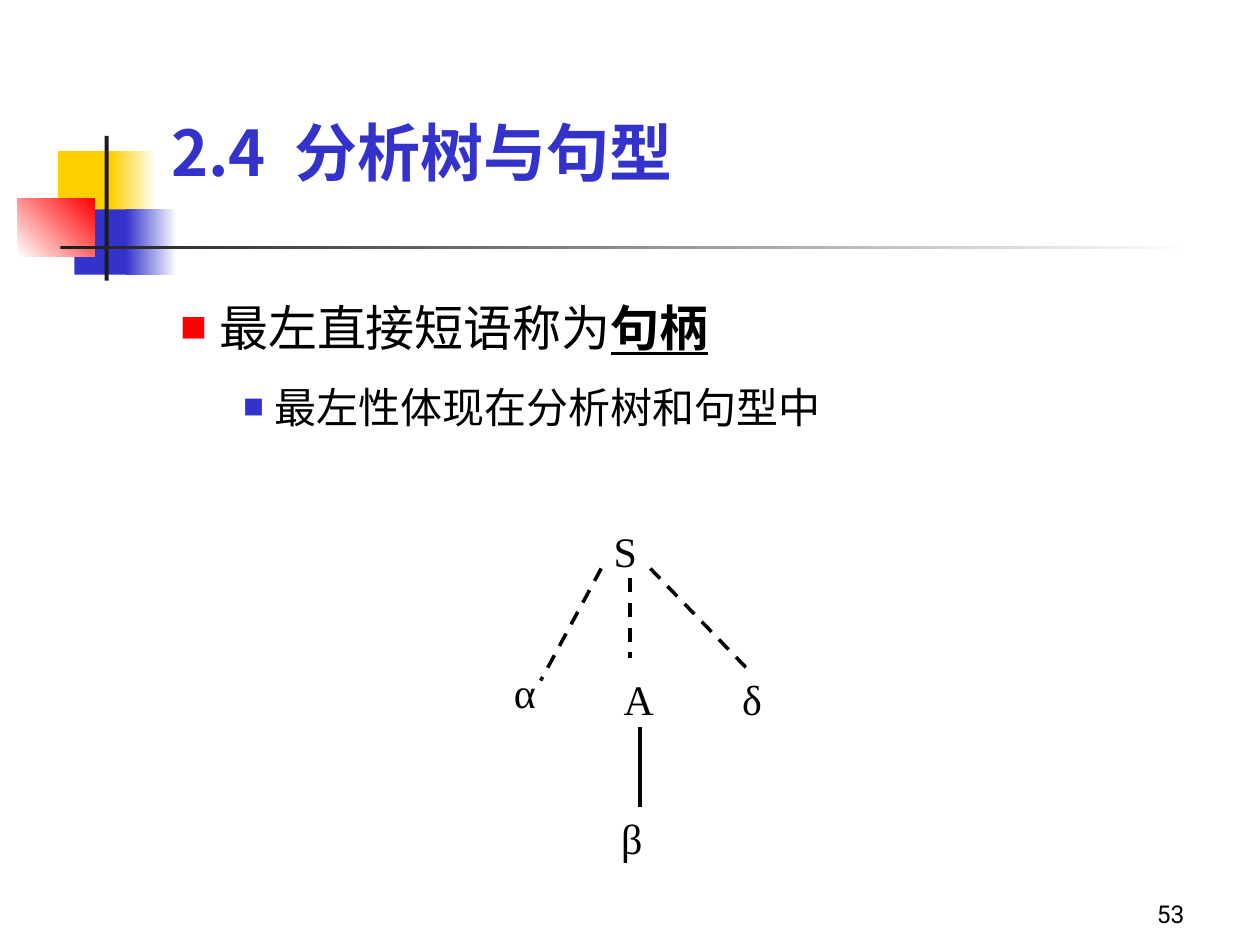
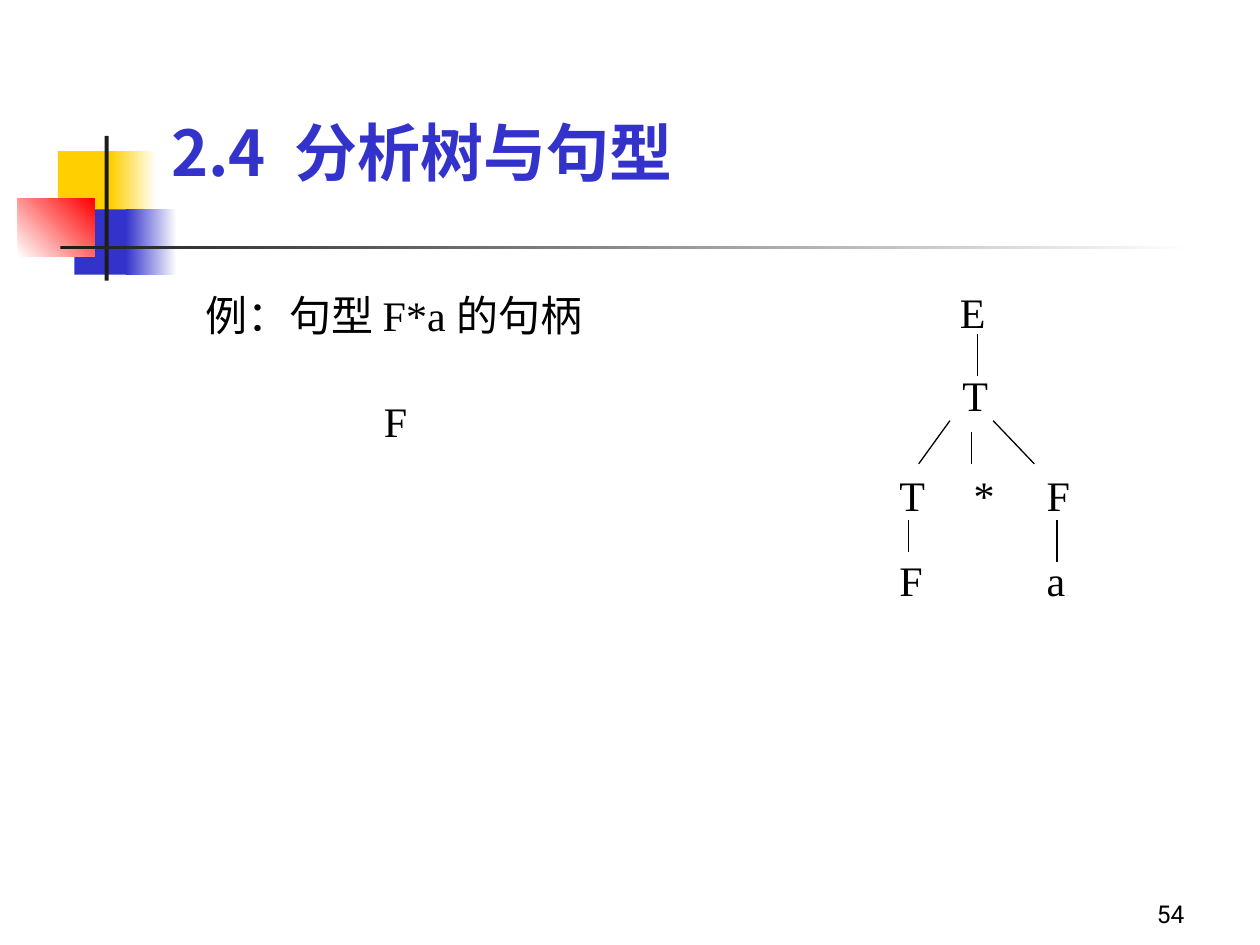
from lxml.etree import SubElement
from pptx import Presentation
from pptx.dml.color import RGBColor
from pptx.enum.dml import MSO_LINE_DASH_STYLE as Dash
from pptx.enum.shapes import MSO_CONNECTOR as Connector, MSO_SHAPE as Shape
from pptx.enum.text import MSO_ANCHOR as Anchor, MSO_AUTO_SIZE as AutoSize, PP_ALIGN as Align
from pptx.oxml.ns import qn
from pptx.util import Cm, Pt

BLACK, WHITE, DARK = "000000", "FFFFFF", "1C1C1C"
YELLOW, BLUE, RED = "FFCF01", "3333CC", "FF0000"
SANS, SERIF, CJK = "Roboto", "Times New Roman", "Noto Sans CJK SC"

TITLE = "2.4  分析树与句型"
BANDS = [
    ((1.17, 3.05, 1.22, 1.32), (YELLOW,), 0),
    ((2.24, 3.05, 0.91, 1.32), (YELLOW, WHITE), 0),
    ((1.5, 4.22, 1.17, 1.32), (BLUE,), 0),
    ((2.54, 4.22, 1.02, 1.32), (BLUE, WHITE), 0),
    ((0.36, 4.01, 1.55, 1.17), (WHITE, RED), 45),
    ((2.11, 2.74, 0.08, 2.92), (DARK,), 0),
    ((1.22, 4.95, 22.86, 0.08), (DARK, WHITE), 0),
]
TITLE_FONT = {"name": CJK, "size": Pt(36), "bold": True}
PAGE_FONT = {"name": SANS, "size": Pt(14)}
LABEL_FONT = {"name": SERIF, "size": Pt(24)}
LABEL_PARAGRAPH = {"space_before": Pt(15)}
BOTTOM = {"word_wrap": True, "vertical_anchor": Anchor.BOTTOM}
TOP = {"word_wrap": True, "vertical_anchor": Anchor.TOP}
GROWING = {**TOP, "auto_size": AutoSize.SHAPE_TO_FIT_TEXT}
NODE_WIDTH, ROOT_WIDTH, NODE_HEIGHT = 0.84, 1.35, 1.27

DEFINITION = [
    ([("最左直接短语称为", {}), ("句柄", {"bold": True, "underline": True})],
     {"size": 28, "before": 7, "margin": 2.06, "hang": 0.79, "bullet": RED, "percent": 55}),
    ([("最左性体现在分析树和句型中", {})],
     {"size": 24, "before": 6, "margin": 3.18, "hang": 0.64, "bullet": BLUE, "percent": 50}),
]
PHRASE_NODES = [("S", 12.12, 10.46), ("α", 10.11, 13.31), ("A", 12.32, 13.46),
                ("δ", 14.71, 13.46), ("β", 12.27, 16.26)]
DERIVATIONS = [(12.12, 11.46, 10.9, 13.72), (12.7, 11.66, 12.7, 13.26),
               (13.11, 11.46, 15.09, 13.51)]
DIRECT_STEP = (12.9, 14.66, 12.9, 16.26)

LEFT, MIDDLE, RIGHT = 17.88, 19.38, 20.85
EXAMPLE_ROOTS = [("E", 19.1, 5.66), ("T", 19.15, 7.32)]
EXAMPLE_NODES = [("T", LEFT, 9.35), ("*", MIDDLE, 9.35), ("F", RIGHT, 9.35),
                 ("F", LEFT, 11.05), ("a", RIGHT, 11.05)]
EXAMPLE_BRANCHES = [(19.71, 6.73, 19.71, 7.57), (19.15, 8.48, 18.52, 9.35),
                    (19.58, 8.71, 19.58, 9.35), (20.02, 8.48, 20.85, 9.35),
                    (18.31, 10.49, 18.31, 11.13), (21.31, 10.49, 21.31, 11.33)]


def color(value):
    """Turn a hex string into a colour."""
    return RGBColor.from_string(value)


def apply(target, formats):
    """Set every format value on the target."""
    for key, value in formats.items():
        setattr(target, key, value)


class Deck:
    """Hold the shared style and the current slide."""

    def __init__(self):
        """Start an empty 4:3 deck."""
        self.deck = Presentation()
        apply(self.deck, {"slide_width": Cm(25.4), "slide_height": Cm(19.05)})
        self.slide = None

    def page(self, number):
        """Open a slide with its bands, title and page number."""
        self.slide = self.deck.slides.add_slide(self.deck.slide_layouts[6])
        for place, colors, angle in BANDS:
            self.band(place, colors, angle)
        self.text(str(number), (18.85, 17.58, 5.28, 1.27), PAGE_FONT, BOTTOM,
                  {"alignment": Align.RIGHT})
        self.text(TITLE, (3.2, 1.73, 21.64, 2.21), TITLE_FONT, BOTTOM, {}, BLUE)

    def band(self, place, colors, angle):
        """Draw a plain or gradient rectangle."""
        band = self.slide.shapes.add_shape(Shape.RECTANGLE, *map(Cm, place))
        band.shadow.inherit = False
        band.line.fill.background()
        if len(colors) == 1:
            band.fill.solid()
            band.fill.fore_color.rgb = color(colors[0])
            return
        band.fill.gradient()
        band.fill.gradient_angle = angle
        for position, (stop, shade) in enumerate(zip(band.fill.gradient_stops, colors)):
            stop.position = position
            stop.color.rgb = color(shade)

    def frame(self, place, formats):
        """Add a text box and return its frame."""
        frame = self.slide.shapes.add_textbox(*map(Cm, place)).text_frame
        apply(frame, formats)
        return frame

    def run(self, paragraph, words, font, shade=BLACK):
        """Add a run with its Latin and East Asian fonts."""
        run = paragraph.add_run()
        run.text = words
        apply(run.font, font)
        run.font.color.rgb = color(shade)
        SubElement(run.font._element, qn("a:ea"), typeface=CJK)

    def text(self, words, place, font, frame_format, paragraph_format, shade=BLACK):
        """Write one line of text."""
        paragraph = self.frame(place, frame_format).paragraphs[0]
        apply(paragraph, paragraph_format)
        self.run(paragraph, words, font, shade)

    def label(self, words, left, top, width=NODE_WIDTH):
        """Write a tree node or a line in the serif style."""
        self.text(words, (left, top, width, NODE_HEIGHT), LABEL_FONT, GROWING, LABEL_PARAGRAPH)

    def bullets(self, items, place):
        """Write a bulleted list."""
        frame = self.frame(place, TOP)
        for index, (runs, style) in enumerate(items):
            paragraph = frame.add_paragraph() if index else frame.paragraphs[0]
            apply(paragraph, {"level": index, "line_spacing": 1.3,
                              "space_before": Pt(style["before"])})
            properties = paragraph._p.get_or_add_pPr()
            properties.set("marL", str(Cm(style["margin"])))
            properties.set("indent", str(-Cm(style["hang"])))
            SubElement(SubElement(properties, qn("a:buClr")), qn("a:srgbClr"), val=style["bullet"])
            SubElement(properties, qn("a:buSzPct"), val=str(style["percent"] * 1000))
            SubElement(properties, qn("a:buFont"), typeface=CJK)
            SubElement(properties, qn("a:buChar"), char="■")
            for words, extra in runs:
                self.run(paragraph, words, {"name": SANS, "size": Pt(style["size"]), **extra})

    def branch(self, ends, weight, dash=None):
        """Draw a straight tree branch."""
        branch = self.slide.shapes.add_connector(Connector.STRAIGHT, *map(Cm, ends))
        apply(branch.line, {"width": Pt(weight), "dash_style": dash})
        branch.line.color.rgb = color(BLACK)
        SubElement(branch._element.spPr, qn("a:effectLst"))


def handle_definition(deck):
    """Define the handle and show its general tree."""
    deck.page(53)
    deck.bullets(DEFINITION, (2.11, 5.51, 22, 4.01))
    for node in PHRASE_NODES:
        deck.label(*node)
    for ends in DERIVATIONS:
        deck.branch(ends, 2, Dash.DASH)
    deck.branch(DIRECT_STEP, 2)


def handle_example(deck):
    """Find the handle of one sentential form."""
    deck.page(54)
    deck.label("例：句型 F*a 的句柄", 3.89, 5.71, 10.01)
    for root in EXAMPLE_ROOTS:
        deck.label(*root, ROOT_WIDTH)
    for node in EXAMPLE_NODES:
        deck.label(*node)
    for ends in EXAMPLE_BRANCHES:
        deck.branch(ends, 0.75)
    deck.label("F", 7.49, 7.85, 1.19)


def main():
    """Build and save the deck."""
    deck = Deck()
    handle_definition(deck)
    handle_example(deck)
    deck.deck.save("out.pptx")


if __name__ == "__main__":
    main()
